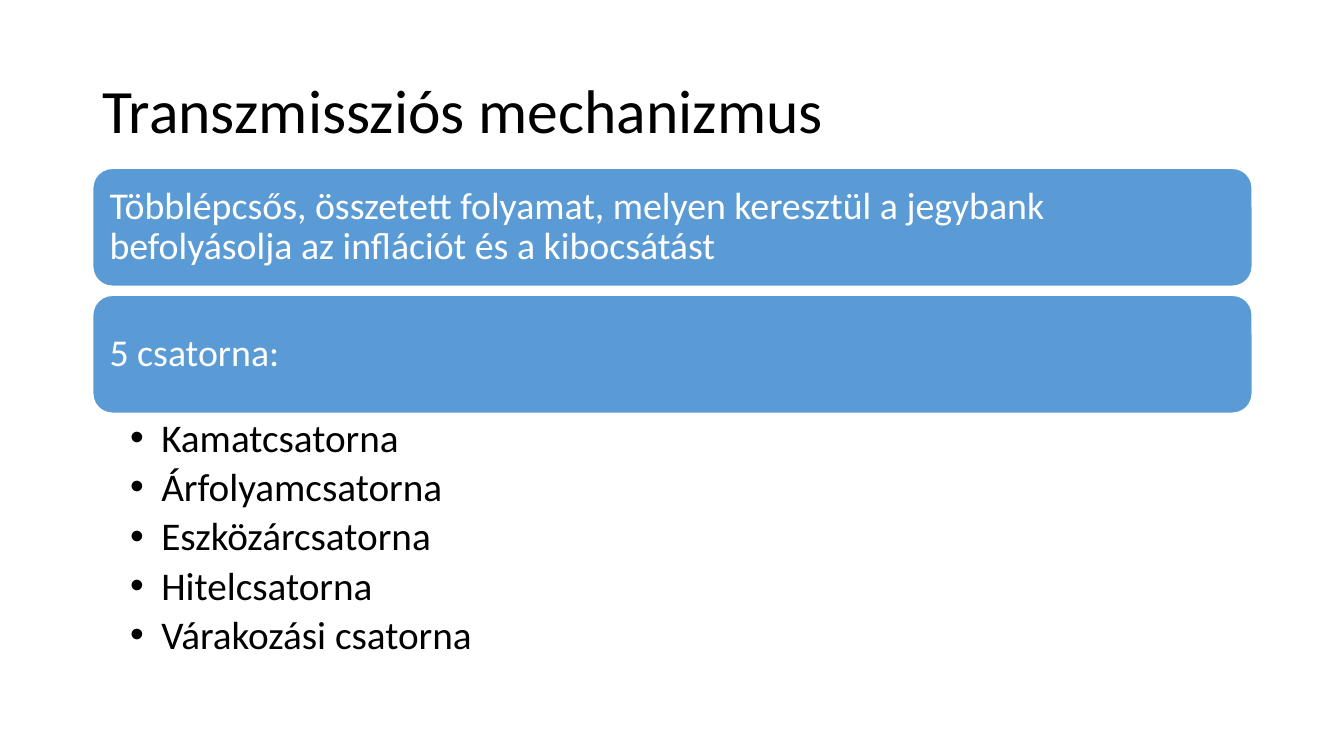
from lxml import etree
from pptx import Presentation
from pptx.dml.color import RGBColor
from pptx.enum.shapes import MSO_SHAPE
from pptx.enum.text import MSO_ANCHOR, PP_ALIGN
from pptx.oxml.ns import qn
from pptx.util import Inches, Pt

ROUND = MSO_SHAPE.ROUNDED_RECTANGLE
MIDDLE, TOP = MSO_ANCHOR.MIDDLE, MSO_ANCHOR.TOP
LEFT = PP_ALIGN.LEFT
COLORS = {"ink": "000000", "bar": "5B9BD5", "white": "FFFFFF"}
STEPS = [
    "Többlépcsős, összetett folyamat, melyen keresztül a jegybank "
    "befolyásolja az inflációt és a kibocsátást",
    "5 csatorna:",
]
ITEMS = [
    "Kamatcsatorna",
    "Árfolyamcsatorna",
    "Eszközárcsatorna",
    "Hitelcsatorna",
    "Várakozási csatorna",
]


def color(name):
    return RGBColor.from_string(COLORS[name])


def apply(target, values):
    for name, value in values.items():
        setattr(target, name, value)


def add_dot(para):
    props = para._p.get_or_add_pPr()
    props.set("marL", str(Inches(0.31)))
    props.set("indent", str(Inches(-0.31)))
    etree.SubElement(props, qn("a:buFont")).set("typeface", "Arial")
    etree.SubElement(props, qn("a:buChar")).set("char", "•")


def write(shape, lines, size, ink, pads, anchor, after=0, dots=False):
    frame = shape.text_frame
    left, top, right, bottom = map(Inches, pads)
    apply(frame, {
        "word_wrap": True, "vertical_anchor": anchor,
        "margin_left": left, "margin_top": top,
        "margin_right": right, "margin_bottom": bottom,
    })
    for i, line in enumerate(lines):
        para = frame.add_paragraph() if i else frame.paragraphs[0]
        para.text = line
        apply(para, {"alignment": LEFT, "line_spacing": 0.9,
                     "space_before": Pt(0), "space_after": Pt(after)})
        if dots:
            add_dot(para)
        apply(para.font, {"name": "Calibri", "size": Pt(size)})
        para.font.color.rgb = color(ink)


def add_title(slide, box):
    shape = slide.shapes.add_textbox(*map(Inches, box))
    write(shape, ["Transzmissziós mechanizmus"], 44, "ink",
          (0.1, 0.05, 0.1, 0.05), MIDDLE)


def add_bars(slide, box, gap):
    left, top, width, height = box
    tall = (height - gap * (len(STEPS) - 1)) / len(STEPS)
    for i, step in enumerate(STEPS):
        y = top + i * (tall + gap)
        bar = slide.shapes.add_shape(
            ROUND, *map(Inches, (left, y, width, tall)))
        bar.shadow.inherit = False
        bar.fill.solid()
        bar.fill.fore_color.rgb = color("bar")
        bar.line.color.rgb = color("white")
        bar.line.width = Pt(1)
        write(bar, [step], 27, "white", (0.11, 0.11, 0.11, 0.11), MIDDLE)


def add_list(slide, box):
    shape = slide.shapes.add_textbox(*map(Inches, box))
    write(shape, ITEMS, 28, "ink", (0.37, 0.04, 0.22, 0.04), TOP, 5, True)


def main():
    deck = Presentation()
    apply(deck, {"slide_width": Inches(13.33), "slide_height": Inches(7.5)})
    slide = deck.slides.add_slide(deck.slide_layouts[6])
    left, width = 0.92, 11.5
    add_title(slide, (left, 0.4, width, 1.45))
    add_bars(slide, (left, 1.67, width, 2.43), 0.09)
    add_list(slide, (left, 4.11, width, 2.63))
    deck.save("out.pptx")


if __name__ == "__main__":
    main()
